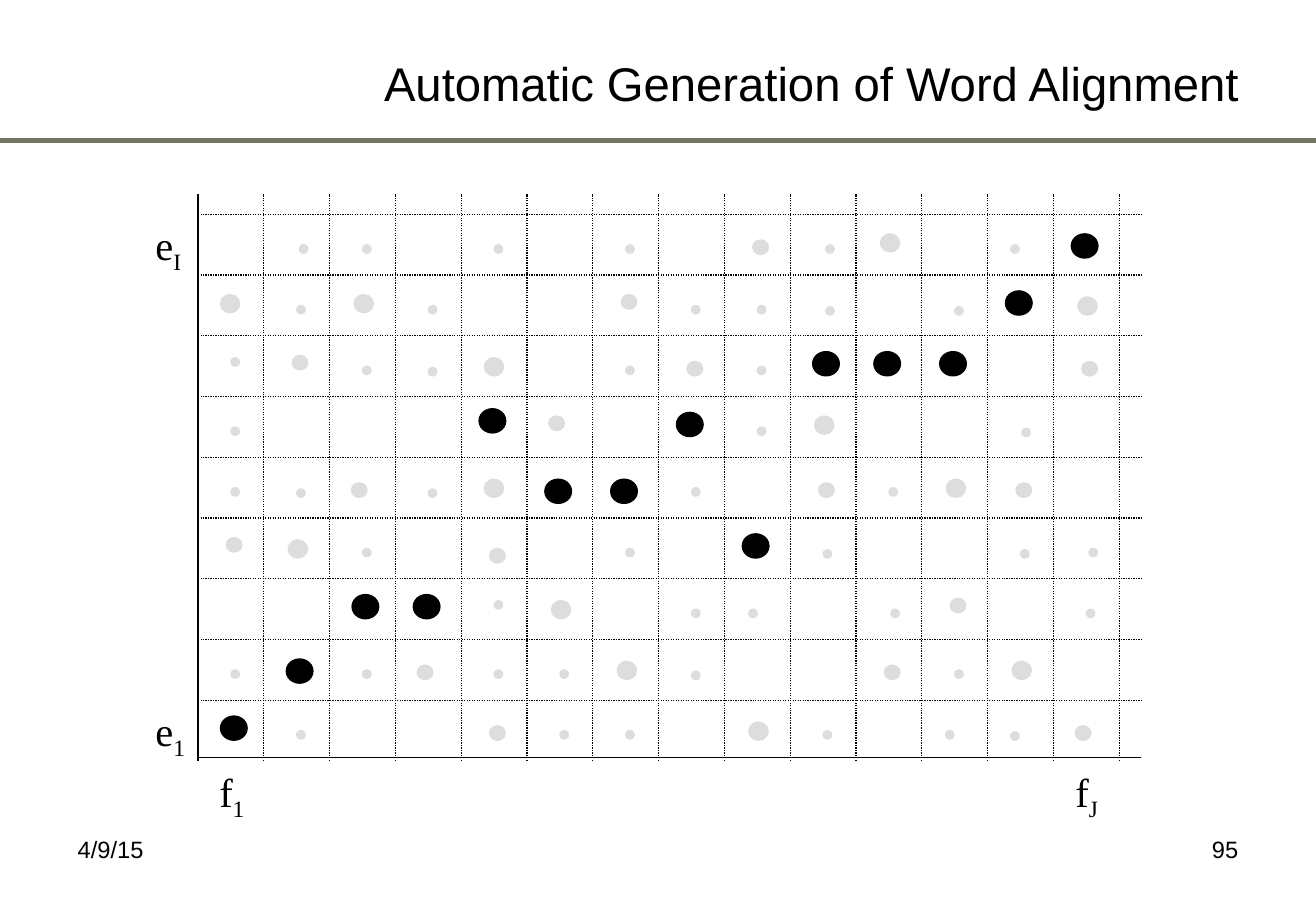
from dataclasses import dataclass

import pptx
import pptx.dml.color
import pptx.enum.dml
import pptx.enum.shapes
import pptx.enum.text
import pptx.oxml.ns
import pptx.util
from lxml import etree

BLACK = pptx.dml.color.RGBColor(0x00, 0x00, 0x00)
PALE_GREY = pptx.dml.color.RGBColor(0xDD, 0xDD, 0xDD)
OLIVE_GREY = pptx.dml.color.RGBColor(0x74, 0x74, 0x62)

SLIDE_WIDTH = pptx.util.Inches(10.83)
SLIDE_HEIGHT = pptx.util.Inches(7.5)
COLUMN = SLIDE_WIDTH / 20
ROW = SLIDE_HEIGHT / 15
GRID_LEFT = 3.01 * COLUMN
GRID_TOP = 3.53 * ROW
GRID_COLUMNS = 14
GRID_ROWS = 9
LINE_TOP = -0.34
LINE_RIGHT = 14.33
AXIS_ROW = 8.94

LEFT = pptx.enum.text.PP_ALIGN.LEFT
RIGHT = pptx.enum.text.PP_ALIGN.RIGHT


@dataclass(frozen=True)
class DotKind:
    """Dots of one size; offsets are shares of a cell, places are (column, row)."""
    width: float
    height: float
    left_offset: float
    top_offset: float
    color: pptx.dml.color.RGBColor
    places: tuple[tuple[float, float], ...]


@dataclass(frozen=True)
class AxisLabel:
    """A letter with a subscript; column, row and width are in grid cells."""
    letter: str
    subscript: str
    column: float
    row: float
    width: float


DOT_KINDS = (
    DotKind(0.22, 0.2, 0.27, 0.26, BLACK, (
        (0.07, 8), (1.07, 7.06), (2.07, 6), (3, 6), (4, 2.94), (5, 4.1), (6, 4.1),
        (7, 3), (8, 5), (9.07, 2), (10, 2), (11, 2), (12, 1), (13, 0.06),
    )),
    DotKind(0.13, 0.12, 0.43, 0.42, PALE_GREY, (
        (0, 4.9), (1, 1.9), (1.9, 4), (2.9, 7), (4, 8), (4, 5.08), (4.9, 2.9),
        (6, 0.9), (7, 2), (8, 0), (9, 4), (10, 7), (11, 5.9), (12, 4), (13, 2),
        (12.9, 8),
    )),
    DotKind(0.16, 0.15, 0.37, 0.36, PALE_GREY, (
        (-0.03, 0.96), (1, 5), (2, 0.96), (3.98, 2), (3.98, 4), (5, 6), (6, 7),
        (8, 8), (9, 2.96), (10, -0.04), (11, 4), (12, 7), (13, 1),
    )),
    DotKind(0.07, 0.07, 0.5, 0.5, PALE_GREY, (
        (0, 7), (0, 4), (0, 3), (0, 1.86),
        (1.04, 0), (1, 1), (1, 4.02), (1, 8),
        (2, 7), (2, 5), (2, 2), (2, 0),
        (3, 1), (3, 2.02), (3, 4.02),
        (4, 5.86), (4, 7), (4, 0),
        (5, 7), (5, 8),
        (6, 8), (6, 5), (6, 2), (6, 0),
        (7, 1), (7, 4), (7, 6), (7, 7.02),
        (7.87, 6), (8, 3), (8, 2), (8, 1),
        (9.04, 1.02), (9.04, 0), (9, 8), (9, 5.02),
        (10.03, 6), (10, 4), (10.86, 8),
        (11, 1.02), (11, 7), (11.85, 0), (11.85, 8.02),
        (12.02, 3.02), (12, 5.02), (13.04, 5), (13, 6),
    )),
)

AXIS_LABELS = (
    AxisLabel("f", "1", 0.14, 9, 0.78),
    AxisLabel("f", "J", 13.15, 9, 0.74),
    AxisLabel("e", "1", -0.83, 8, 0.86),
    AxisLabel("e", "I", -0.83, 0, 0.78),
)


def grid_x(column: float) -> int:
    return round(GRID_LEFT + column * COLUMN)


def grid_y(row: float) -> int:
    return round(GRID_TOP + row * ROW)


def format_paragraph(paragraph, font_name: str, size: float, alignment) -> None:
    paragraph.alignment = alignment
    paragraph.font.name = font_name
    paragraph.font.size = pptx.util.Pt(size)
    paragraph.font.color.rgb = BLACK


def draw_line(slide, start: tuple[int, int], end: tuple[int, int],
              color=BLACK, width: float = 0.75, dotted: bool = False) -> None:
    connector = slide.shapes.add_connector(
        pptx.enum.shapes.MSO_CONNECTOR.STRAIGHT, *start, *end)
    connector.line.color.rgb = color
    connector.line.width = pptx.util.Pt(width)
    if dotted:
        connector.line.dash_style = pptx.enum.dml.MSO_LINE.ROUND_DOT
    properties = connector._element.spPr
    etree.SubElement(properties, pptx.oxml.ns.qn("a:effectLst"))


def draw_grid(slide) -> None:
    for column in range(GRID_COLUMNS + 1):
        x = grid_x(column)
        draw_line(slide, (x, grid_y(GRID_ROWS)), (x, grid_y(LINE_TOP)),
                  dotted=column > 0)
    for row in (*range(GRID_ROWS), AXIS_ROW):
        y = grid_y(row)
        draw_line(slide, (grid_x(0), y), (grid_x(LINE_RIGHT), y),
                  dotted=row != AXIS_ROW)


def draw_dots(slide, kind: DotKind) -> None:
    for column, row in kind.places:
        dot = slide.shapes.add_shape(
            pptx.enum.shapes.MSO_SHAPE.OVAL,
            grid_x(column + kind.left_offset), grid_y(row + kind.top_offset),
            pptx.util.Inches(kind.width), pptx.util.Inches(kind.height))
        dot.shadow.inherit = False
        dot.fill.solid()
        dot.fill.fore_color.rgb = kind.color
        dot.line.color.rgb = kind.color
        dot.line.width = pptx.util.Pt(0.75)


def draw_axis_label(slide, label: AxisLabel) -> None:
    box = slide.shapes.add_textbox(
        grid_x(label.column), grid_y(label.row),
        round(label.width * COLUMN), round(ROW))
    box.text_frame.word_wrap = False
    box.text_frame.auto_size = pptx.enum.text.MSO_AUTO_SIZE.SHAPE_TO_FIT_TEXT
    paragraph = box.text_frame.paragraphs[0]
    format_paragraph(paragraph, "Times New Roman", 24, LEFT)
    paragraph.add_run().text = label.letter
    subscript = paragraph.add_run()
    subscript.text = label.subscript
    subscript._r.get_or_add_rPr().set("baseline", "-25000")


def draw_footer(slide, text: str, left_share: float, alignment) -> None:
    box = slide.shapes.add_textbox(
        round(left_share * SLIDE_WIDTH), round(0.91 * SLIDE_HEIGHT),
        round(0.23 * SLIDE_WIDTH), round(0.07 * SLIDE_HEIGHT))
    box.text_frame.word_wrap = True
    paragraph = box.text_frame.paragraphs[0]
    paragraph.text = text
    format_paragraph(paragraph, "Arial", 14, alignment)


def fill_title(slide, text: str) -> None:
    title = slide.shapes.title
    title.left, title.top = pptx.util.Inches(2.89), pptx.util.Inches(0.19)
    title.width, title.height = pptx.util.Inches(7.4), pptx.util.Inches(0.98)
    title.text_frame.text = text
    title.text_frame.vertical_anchor = pptx.enum.text.MSO_ANCHOR.MIDDLE
    format_paragraph(title.text_frame.paragraphs[0], "Arial", 28, RIGHT)


def main() -> None:
    presentation = pptx.Presentation()
    presentation.slide_width = SLIDE_WIDTH
    presentation.slide_height = SLIDE_HEIGHT
    slide = presentation.slides.add_slide(presentation.slide_layouts[5])
    fill_title(slide, "Automatic Generation of Word Alignment")
    rule_y = pptx.util.Inches(1.16)
    draw_line(slide, (0, rule_y), (SLIDE_WIDTH, rule_y), OLIVE_GREY, 3)
    draw_footer(slide, "4/9/15", 0.05, LEFT)
    draw_footer(slide, "95", 0.72, RIGHT)
    draw_grid(slide)
    for kind in DOT_KINDS:
        draw_dots(slide, kind)
    for label in AXIS_LABELS:
        draw_axis_label(slide, label)
    presentation.save("out.pptx")


if __name__ == "__main__":
    main()
